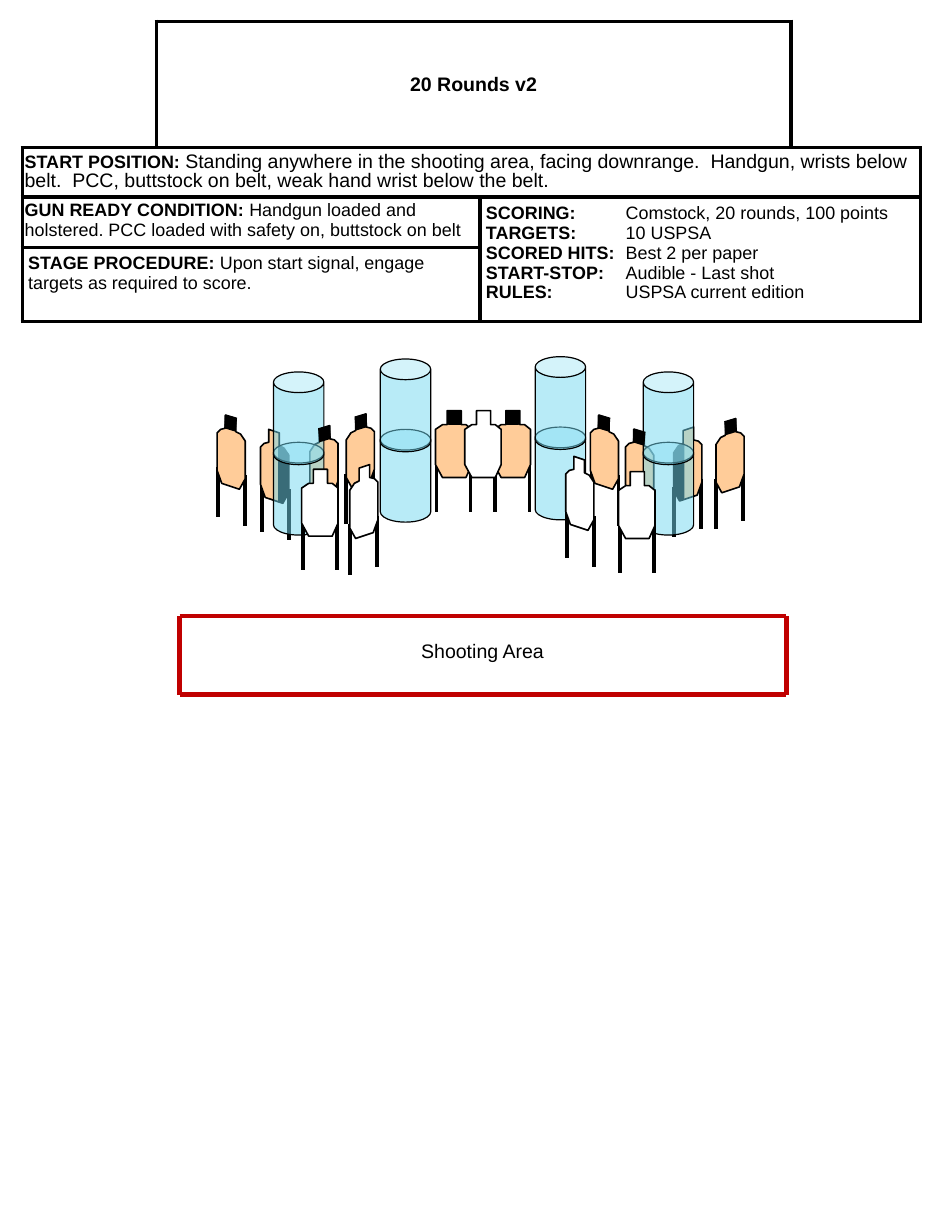
from dataclasses import dataclass

from lxml import etree
from pptx import Presentation
from pptx import util as u
from pptx.dml.color import RGBColor
from pptx.enum import shapes, text
from pptx.oxml import ns

PX = 9144


@dataclass(frozen=True)
class Theme:
    font: str = "Arial"
    black: str = "000000"
    white: str = "FFFFFF"
    paper: str = "FFCC99"
    barrel: str = "73D9F1"
    fault_line: str = "C00000"
    body: int = 11
    large: int = 12


THEME = Theme()

FRONT = [(10, 0), (22, 0), (22, 12), (26, 12), (31, 16), (31, 46),
         (26, 57), (6, 57), (0, 46), (0, 16), (6, 12), (10, 12)]
FRONT_LEGS = [(1, 43), (30, 43)]
ANGLED = [(16, 3), (7, 0), (7, 11), (3, 12), (0, 15), (0, 47),
          (4, 58), (19, 63), (24, 54), (24, 22), (20, 16), (16, 14)]
ANGLED_LEGS = [(24, 51), (1, 44)]
ANGLED_WIDTH = 24
ANGLED_HEAD = [(17, 2), (16, 14), (6, 11), (7, -1)]
ANGLED_SHADE = [(24, 54), (19, 63), (15, 62), (15, 14), (19, 15), (24, 21)]
LEG_LENGTH = 43


def px(value):
    return u.Emu(value * PX)


def rgb(value):
    return RGBColor.from_string(value)


def write(frame, paragraphs, label_size=THEME.body, body_size=THEME.body,
          align=text.PP_ALIGN.LEFT, spacing=1.0, tab=None):
    for index, (label, body) in enumerate(paragraphs):
        line = frame.paragraphs[0] if index == 0 else frame.add_paragraph()
        line.alignment = align
        line.line_spacing = spacing
        if tab:
            stops = etree.SubElement(line._p.get_or_add_pPr(), ns.qn("a:tabLst"))
            etree.SubElement(stops, ns.qn("a:tab"), pos=str(px(tab)), algn="l")
        for words, bold, size in ((label, True, label_size), (body, False, body_size)):
            if words:
                run = line.add_run()
                run.text = words
                run.font.name = THEME.font
                run.font.size = u.Pt(size)
                run.font.bold = bold
                run.font.color.rgb = rgb(THEME.black)


def draw_line(slide, x1, y1, x2, y2, color=THEME.black, width=2.25):
    line = slide.shapes.add_connector(
        shapes.MSO_CONNECTOR.STRAIGHT, px(x1), px(y1), px(x2), px(y2))
    line.line.color.rgb = rgb(color)
    line.line.width = u.Pt(width)
    etree.SubElement(line._element.spPr, ns.qn("a:effectLst"))


def paint(shape, fill, width):
    shape.shadow.inherit = False
    shape.fill.solid()
    shape.fill.fore_color.rgb = rgb(fill)
    if width:
        shape.line.color.rgb = rgb(THEME.black)
        shape.line.width = u.Pt(width)
    else:
        shape.line.fill.background()


def place(points, x, y, mirrored=False):
    return [(x + (ANGLED_WIDTH - dx if mirrored else dx), y + dy) for dx, dy in points]


def draw_outline(slide, points, fill, width=0):
    builder = slide.shapes.build_freeform(*points[0], scale=PX)
    builder.add_line_segments(points[1:], close=True)
    paint(builder.convert_to_shape(), fill, width)


def draw_target(slide, outline, legs, x, y, fill, mirrored=False):
    for leg_x, leg_y in place(legs, x, y, mirrored):
        draw_line(slide, leg_x, leg_y, leg_x, leg_y + LEG_LENGTH)
    draw_outline(slide, place(outline, x, y, mirrored), fill, 1)


def draw_barrel(slide, x, y):
    for top in (y + 60, y):
        can = slide.shapes.add_shape(
            shapes.MSO_SHAPE.CAN, px(x), px(top), px(43), px(79))
        can.adjustments[0] = 0.41
        paint(can, THEME.barrel, 0.75)
        color = can.fill._xPr.find(".//" + ns.qn("a:srgbClr"))
        etree.SubElement(color, ns.qn("a:alpha"), val="50000")


def set_borders(cell, visible):
    properties = cell._tc.get_or_add_tcPr()
    for position, side in enumerate("LRTB"):
        border = etree.Element(ns.qn(f"a:ln{side}"), w=str(u.Pt(2.25)))
        if side in visible:
            fill = etree.SubElement(border, ns.qn("a:solidFill"))
            etree.SubElement(fill, ns.qn("a:srgbClr"), val=THEME.black)
        else:
            etree.SubElement(border, ns.qn("a:noFill"))
        properties.insert(position, border)


def draw_briefing(slide):
    columns, rows = (114, 276, 265, 110), (108, 42, 43, 63)
    table = slide.shapes.add_table(
        4, 4, px(19), px(18), px(sum(columns)), px(sum(rows))).table
    table.first_row = table.horz_banding = False
    for column, width in zip(table.columns, columns):
        column.width = px(width)
    for row, height in zip(table.rows, rows):
        row.height = px(height)
    corners = {(0, 0): "RB", (0, 3): "LB"}
    for r in range(4):
        for c in range(4):
            cell = table.cell(r, c)
            cell.fill.solid()
            cell.fill.fore_color.rgb = rgb(THEME.white)
            set_borders(cell, corners.get((r, c), "LRTB"))

    scoring = [("SCORING:", "\tComstock, 20 rounds, 100 points"),
               ("TARGETS:", "\t10 USPSA"),
               ("SCORED HITS:", "\tBest 2 per paper"),
               ("START-STOP:", "\tAudible - Last shot"),
               ("RULES:", "\tUSPSA current edition")]
    start = [("START POSITION: ",
              "Standing anywhere in the shooting area, facing downrange.  Handgun, "
              "wrists below belt.  PCC, buttstock on belt, weak hand wrist below the belt.")]
    ready = [("GUN READY CONDITION: ",
              "Handgun loaded and holstered. PCC loaded with safety on, buttstock on belt")]
    procedure = [("STAGE PROCEDURE: ",
                  "Upon start signal, engage targets as required to score.")]
    sections = [
        ((0, 1), (0, 2), 5, 5, [("20 Rounds v2", "")],
         dict(label_size=THEME.large, align=text.PP_ALIGN.CENTER)),
        ((1, 0), (1, 3), 2, 4, start, dict(body_size=THEME.large, spacing=0.9)),
        ((2, 0), (2, 1), 2, 3, ready, {}),
        ((2, 2), (3, 3), 5, 5, scoring, dict(tab=119)),
        ((3, 0), (3, 1), 5, 5, procedure, {}),
    ]
    for first, last, side, edge, paragraphs, style in sections:
        cell = table.cell(*first)
        cell.merge(table.cell(*last))
        cell.margin_left = cell.margin_right = px(side)
        cell.margin_top = cell.margin_bottom = px(edge)
        write(cell.text_frame, paragraphs, **style)
    table.cell(0, 1).vertical_anchor = text.MSO_ANCHOR.MIDDLE


def draw_shooting_area(slide):
    left, top, right, bottom = 153, 525, 670, 592
    for ends in ((left, top, right, top), (left, bottom, right, bottom),
                 (left, top, left, bottom), (right, top, right, bottom)):
        draw_line(slide, *ends, color=THEME.fault_line, width=3)
    label = slide.shapes.add_textbox(px(349), px(540), px(126), px(30))
    label.text_frame.word_wrap = False
    write(label.text_frame, [("", "Shooting Area")], body_size=THEME.large)


def draw_targets(slide):
    angled = [(503, 354, False), (533, 366, False), (610, 357, True),
              (185, 354, False), (295, 353, True), (264, 363, True)]
    front = [(371, 350), (421, 350)]
    for x, y, mirrored in ((222, 366, False), (574, 364, True)):
        draw_target(slide, ANGLED, ANGLED_LEGS, x, y, THEME.paper, mirrored)
        draw_outline(slide, place(ANGLED_SHADE, x, y, mirrored), THEME.black)
    for x, y, mirrored in angled:
        draw_target(slide, ANGLED, ANGLED_LEGS, x, y, THEME.paper, mirrored)
    for x, y in front:
        draw_target(slide, FRONT, FRONT_LEGS, x, y, THEME.paper)
    for x, y in ((548, 317), (324, 306), (233, 317), (456, 304)):
        draw_barrel(slide, x, y)
    for x, y, legs in ((396, 350, []), (527, 402, FRONT_LEGS), (257, 400, FRONT_LEGS)):
        draw_target(slide, FRONT, legs, x, y, THEME.white)
    for x, y, mirrored in ((298, 396, True), (482, 389, False)):
        draw_target(slide, ANGLED, ANGLED_LEGS, x, y, THEME.white, mirrored)
    for x, y, mirrored in angled:
        draw_outline(slide, place(ANGLED_HEAD, x, y, mirrored), THEME.black)
    for x, y in front:
        head = slide.shapes.add_shape(
            shapes.MSO_SHAPE.RECTANGLE, px(x + 11), px(y + 1), px(10), px(10))
        paint(head, THEME.black, 2)


def main():
    deck = Presentation()
    deck.slide_width, deck.slide_height = px(800), px(1050)
    slide = deck.slides.add_slide(deck.slide_layouts[6])
    draw_briefing(slide)
    draw_shooting_area(slide)
    draw_targets(slide)
    deck.save("out.pptx")


if __name__ == "__main__":
    main()
